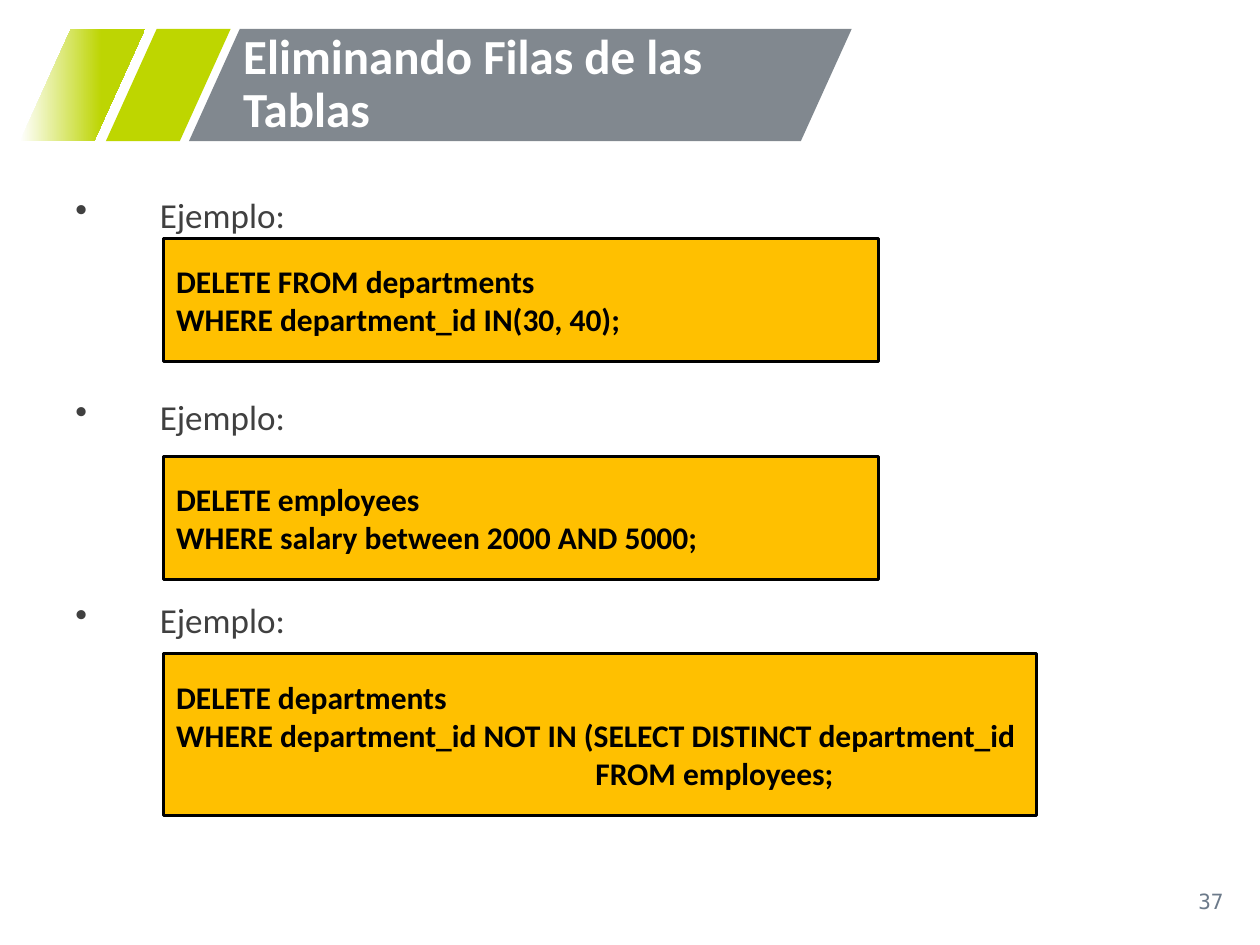
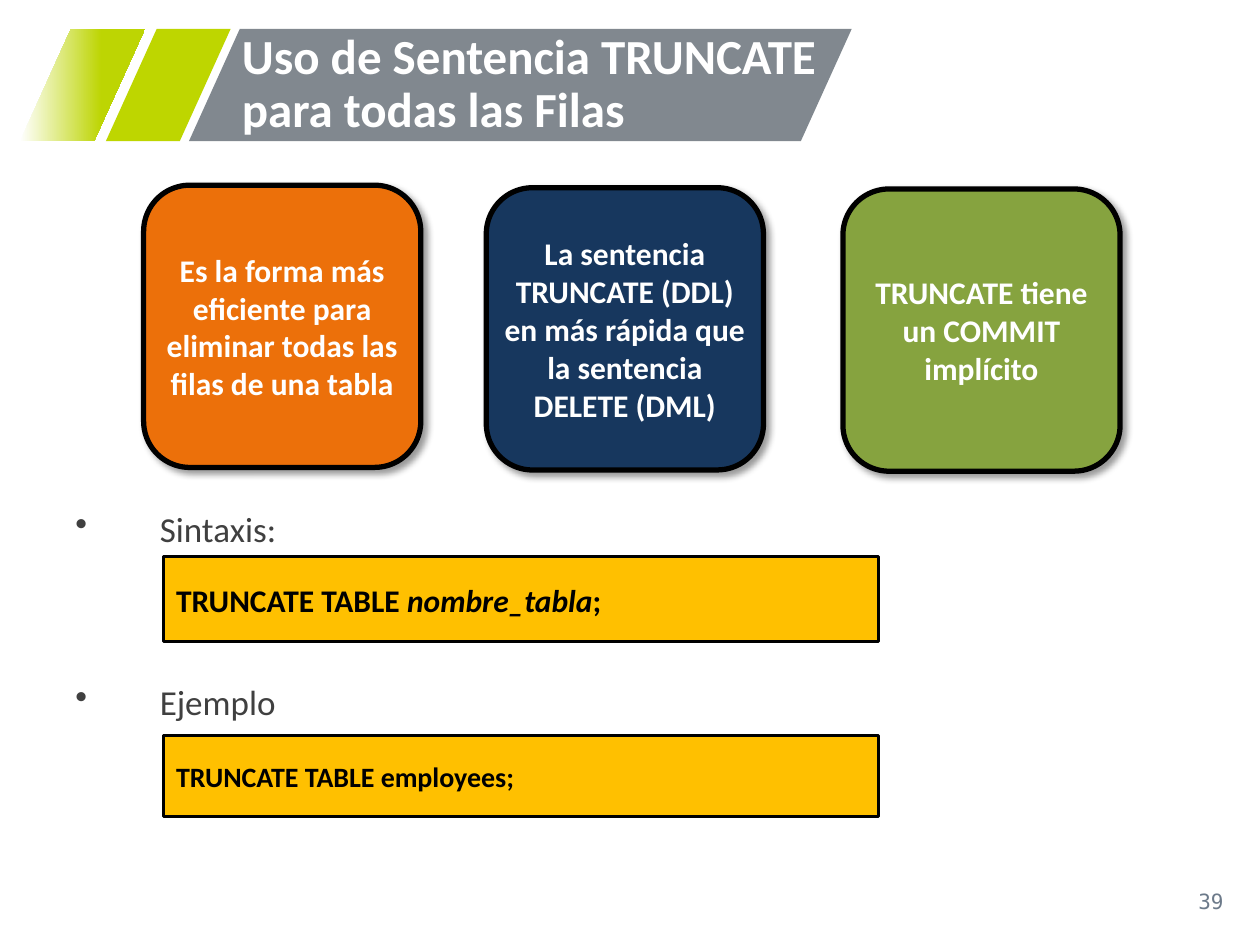
from dataclasses import dataclass
from typing import NamedTuple

from lxml import etree
from pptx import Presentation
from pptx.dml.color import RGBColor
from pptx.enum.shapes import MSO_SHAPE
from pptx.enum.text import MSO_ANCHOR, MSO_AUTO_SIZE, PP_ALIGN
from pptx.oxml.ns import qn
from pptx.util import Emu, Inches, Pt

RECT, ROUNDED = MSO_SHAPE.RECTANGLE, MSO_SHAPE.ROUNDED_RECTANGLE
SLANTED = MSO_SHAPE.PARALLELOGRAM
TOP, MIDDLE = MSO_ANCHOR.TOP, MSO_ANCHOR.MIDDLE
LEFT, CENTER, RIGHT = PP_ALIGN.LEFT, PP_ALIGN.CENTER, PP_ALIGN.RIGHT
JUSTIFY = PP_ALIGN.JUSTIFY
NO_AUTOFIT = MSO_AUTO_SIZE.NONE

WIDTH, HEIGHT = Inches(10), Inches(7.5)
COLUMNS, ROWS = 100, 75
COLUMN, ROW = WIDTH / COLUMNS, HEIGHT / ROWS
TITLE_ONLY = 5


class TextStyle(NamedTuple):
    size: float
    color: str
    bold: bool = False
    font: str = "Calibri"


@dataclass(frozen=True)
class Theme:
    lime: str = "BED600"
    lime_fade: str = "BDD503"
    gray: str = "81888F"
    white: str = "FFFFFF"
    black: str = "000000"
    amber: str = "FFC000"
    orange: str = "EC700A"
    navy: str = "17375E"
    green: str = "86A33F"
    title: TextStyle = TextStyle(28, "FFFFFF", True)
    label: TextStyle = TextStyle(20, "404040")
    code: TextStyle = TextStyle(18, "000000", True)
    small_code: TextStyle = TextStyle(16, "000000", True)
    card: TextStyle = TextStyle(18, "FFFFFF", True)
    number: TextStyle = TextStyle(12, "6C7A8A", False, "DejaVu Sans Mono")


THEME = Theme()


class Box(NamedTuple):
    """Left, width in grid columns; top, height in grid rows."""
    left: float
    top: float
    width: float
    height: float

    def emu(self) -> tuple:
        return (Emu(round(self.left * COLUMN)), Emu(round(self.top * ROW)),
                Emu(round(self.width * COLUMN)), Emu(round(self.height * ROW)))


class Run(NamedTuple):
    text: str
    italic: bool = False


class CodeBox(NamedTuple):
    box: Box
    lines: list
    style: TextStyle = THEME.code


class Card(NamedTuple):
    left: float
    top: float
    color: str
    text: str


class Labels(NamedTuple):
    top: float
    gap: float
    texts: list


class SlideContent(NamedTuple):
    number: int
    title: str
    title_box: Box
    labels: Labels
    codes: list
    cards: list


BAND_TOP, BAND_HEIGHT = 2.3, 8.9
NUMBER_BOX = Box(75.6, 69.5, 22.5, 4)
CODE_LEFT, CODE_WIDTH = 13, 56.7
CARD_WIDTH, CARD_HEIGHT = 22, 22.4

SLIDES = [
    SlideContent(
        37, "Eliminando Filas de las Tablas",
        Box(18.3, BAND_TOP, 46.9, BAND_HEIGHT),
        Labels(15.5, 96.5, ["Ejemplo:", "Ejemplo:", "Ejemplo:"]),
        [
            CodeBox(Box(CODE_LEFT, 18.9, CODE_WIDTH, 9.8),
                    [[Run("DELETE FROM departments")],
                     [Run("WHERE department_id IN(30, 40);")]]),
            CodeBox(Box(CODE_LEFT, 36.2, CODE_WIDTH, 9.8),
                    [[Run("DELETE employees")],
                     [Run("WHERE salary between 2000 AND 5000;")]]),
            CodeBox(Box(CODE_LEFT, 51.9, 69.3, 12.8),
                    [[Run("DELETE departments")],
                     [Run("WHERE department_id NOT IN (SELECT DISTINCT department_id")],
                     [Run(" " * 59 + "FROM employees;")]]),
        ],
        []),
    SlideContent(
        39, "Uso de Sentencia TRUNCATE para todas las Filas",
        Box(18.2, BAND_TOP, 51.2, BAND_HEIGHT),
        Labels(40.4, 80, ["Sintaxis:", "Ejemplo"]),
        [
            CodeBox(Box(CODE_LEFT, 44.2, CODE_WIDTH, 6.7),
                    [[Run("TRUNCATE TABLE "), Run("nombre_tabla", True), Run(";")]]),
            CodeBox(Box(CODE_LEFT, 58.4, CODE_WIDTH, 6.4),
                    [[Run("TRUNCATE TABLE employees;")]], THEME.small_code),
        ],
        [
            Card(11.4, 14.7, THEME.orange,
                 "Es la forma más eficiente para eliminar todas las filas de una tabla"),
            Card(38.6, 14.9, THEME.navy,
                 "La sentencia TRUNCATE (DDL) en más rápida que la sentencia DELETE (DML)"),
            Card(66.9, 15, THEME.green, "TRUNCATE tiene un COMMIT implícito"),
        ]),
]


def rgb(color: str) -> RGBColor:
    return RGBColor.from_string(color)


def prepare(tf, anchor, side: float = 0.1, top: float = 0.05) -> None:
    """Set wrapping, anchor and insets (inches) of a text frame."""
    tf.word_wrap = True
    tf.auto_size = NO_AUTOFIT
    tf.vertical_anchor = anchor
    tf.margin_left = tf.margin_right = Inches(side)
    tf.margin_top, tf.margin_bottom = Inches(top), Inches(0.05)


def write(tf, lines: list, style: TextStyle, align) -> None:
    for i, runs in enumerate(lines):
        p = tf.paragraphs[0] if i == 0 else tf.add_paragraph()
        p.alignment = align
        for run in runs:
            r = p.add_run()
            r.text = run.text
            r.font.name, r.font.size = style.font, Pt(style.size)
            r.font.bold, r.font.italic = style.bold, run.italic
            r.font.color.rgb = rgb(style.color)


def add_box(shapes, kind, box: Box, fill: str, line_width: float = 0):
    sp = shapes.add_shape(kind, *box.emu())
    sp.shadow.inherit = False
    sp.fill.solid()
    sp.fill.fore_color.rgb = rgb(fill)
    if line_width:
        sp.line.color.rgb = rgb(THEME.black)
        sp.line.width = Pt(line_width)
    else:
        sp.line.fill.background()
    return sp


def add_bands(slide, layout) -> None:
    """Draw the slanted header bands and hand them to the shared layout."""
    for left, width, color in ((8.4, 9.9, THEME.lime),
                               (1.6, 9.9, THEME.lime_fade),
                               (15, 52.6, THEME.gray)):
        sp = add_box(slide.shapes, SLANTED,
                     Box(left, BAND_TOP, width, BAND_HEIGHT), color)
        sp.adjustments[0] = 0.453
        if color == THEME.lime_fade:
            sp.fill.gradient()
            sp.fill.gradient_angle = 0
            stops = zip(sp.fill.gradient_stops,
                        ((0, THEME.white), (0.65, THEME.lime_fade)))
            for stop, (position, stop_color) in stops:
                stop.position = position
                stop.color.rgb = rgb(stop_color)
        layout.shapes.element.append(sp.element)


def add_title(slide, text: str, box: Box) -> None:
    sp = slide.shapes.title
    sp.left, sp.top, sp.width, sp.height = box.emu()
    prepare(sp.text_frame, MIDDLE)
    write(sp.text_frame, [[Run(text)]], THEME.title, LEFT)
    sp.text_frame.paragraphs[0].line_spacing = 0.9


def add_number(slide, number: int) -> None:
    tf = slide.shapes.add_textbox(*NUMBER_BOX.emu()).text_frame
    prepare(tf, MIDDLE)
    write(tf, [[Run(str(number))]], THEME.number, RIGHT)


def add_labels(slide, labels: Labels) -> None:
    """Add the bulleted labels as one list with even gaps."""
    box = Box(5, labels.top, 90, 65 - labels.top)
    tf = slide.shapes.add_textbox(*box.emu()).text_frame
    prepare(tf, TOP)
    write(tf, [[Run(text)] for text in labels.texts], THEME.label, JUSTIFY)
    for i, p in enumerate(tf.paragraphs):
        p.line_spacing = 0.8
        p.space_before = Pt(labels.gap if i else 0)
        pPr = p._p.get_or_add_pPr()
        pPr.set("marL", str(Inches(0.67)))
        pPr.set("indent", str(-Inches(0.67)))
        etree.SubElement(pPr, qn("a:buChar"), char="•")


def add_code(slide, code: CodeBox) -> None:
    sp = add_box(slide.shapes, RECT, code.box, THEME.amber, 1.75)
    prepare(sp.text_frame, TOP, top=0.19)
    write(sp.text_frame, code.lines, code.style, LEFT)


def add_card(slide, card: Card) -> None:
    box = Box(card.left, card.top, CARD_WIDTH, CARD_HEIGHT)
    sp = add_box(slide.shapes, ROUNDED, box, card.color, 3)
    effects = sp.element.spPr.find(qn("a:effectLst"))
    shadow = etree.SubElement(effects, qn("a:outerShdw"), blurRad=str(Pt(4)),
                              dist=str(Pt(3)), dir=str(45 * 60000),
                              algn="tl", rotWithShape="0")
    color = etree.SubElement(shadow, qn("a:srgbClr"), val=THEME.black)
    etree.SubElement(color, qn("a:alpha"), val="40000")
    prepare(sp.text_frame, MIDDLE, side=0)
    write(sp.text_frame, [[Run(card.text)]], THEME.card, CENTER)


def main() -> None:
    prs = Presentation()
    prs.slide_width, prs.slide_height = WIDTH, HEIGHT
    layout = prs.slide_layouts[TITLE_ONLY]
    for i, content in enumerate(SLIDES):
        slide = prs.slides.add_slide(layout)
        if i == 0:
            add_bands(slide, layout)
        add_title(slide, content.title, content.title_box)
        add_number(slide, content.number)
        add_labels(slide, content.labels)
        for code in content.codes:
            add_code(slide, code)
        for card in content.cards:
            add_card(slide, card)
    prs.save("out.pptx")


if __name__ == "__main__":
    main()
